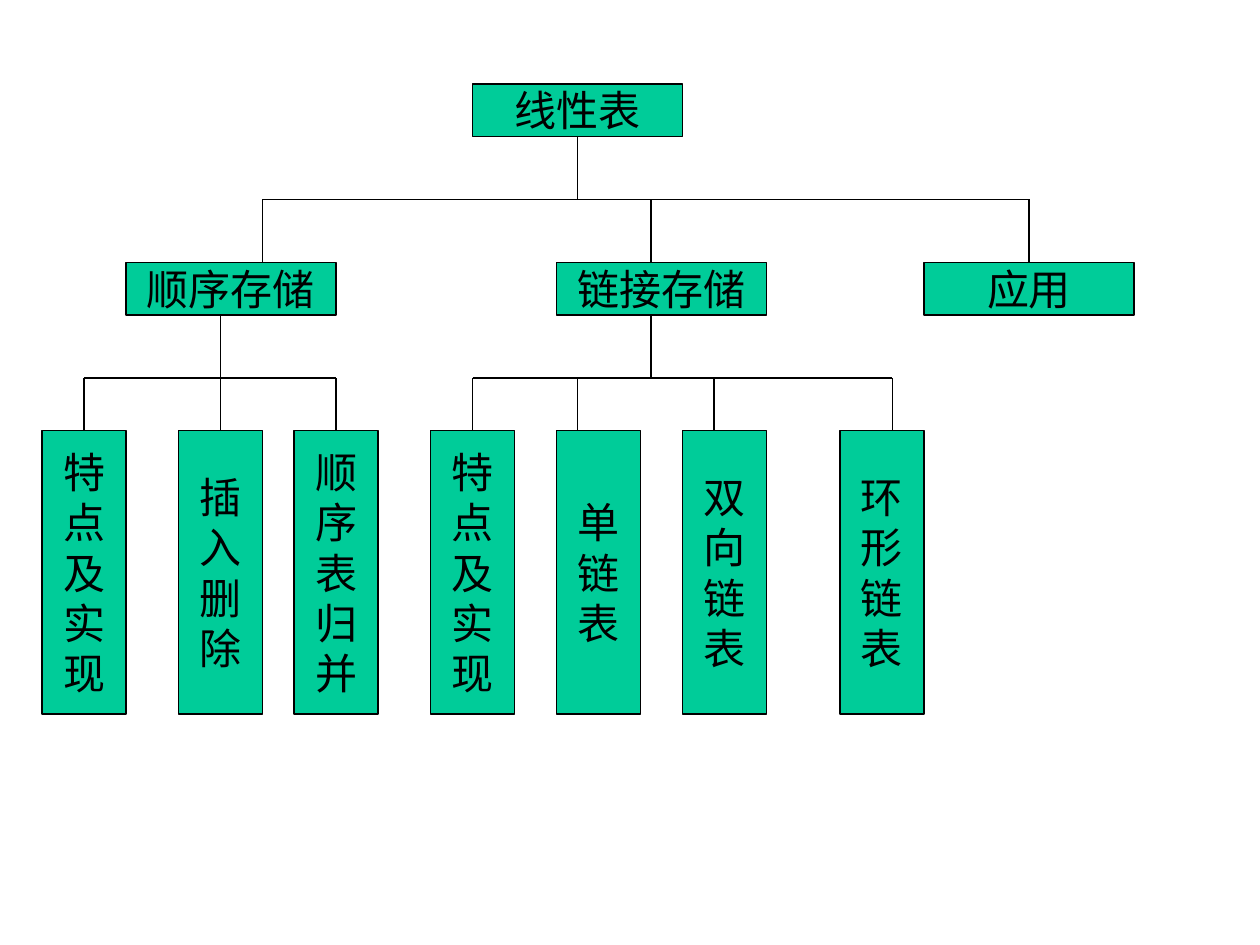
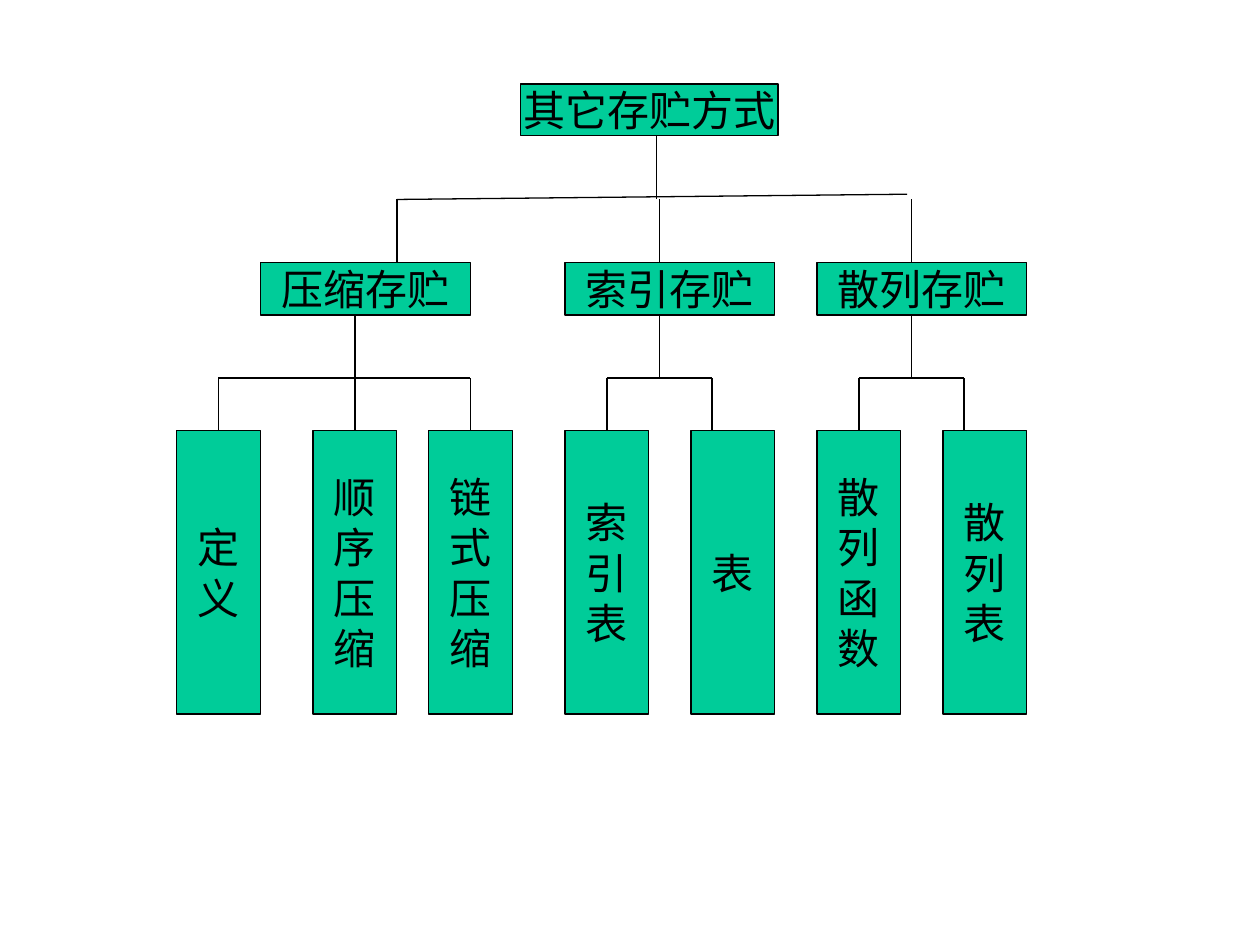
from dataclasses import dataclass

from lxml import etree
from pptx import Presentation
from pptx import util as u
from pptx.dml.color import RGBColor
from pptx.enum import shapes, text
from pptx.oxml.ns import qn

GREEN = RGBColor(0x00, 0xCC, 0x99)
BLACK = RGBColor(0x00, 0x00, 0x00)
FONT = "Times New Roman"

# The grid has 120 columns and 90 rows, twelve to the inch.
COLUMNS, ROWS = 120, 90
ROOT_TOP, ROOT_BAR = 8, 19
BRANCH_TOP, LEAF_BAR, LEAF_TOP = 25, 36, 41
BOX_WIDTH, BOX_HEIGHT = 20, 5
LEAF_WIDTH, LEAF_HEIGHT = 8, 27


@dataclass
class Root:
    label: str
    left: float
    stem: float
    width: float = BOX_WIDTH
    height: float = BOX_HEIGHT


@dataclass
class Branch:
    """A second-level box; leaves are (label, left, column of its line)."""
    label: str
    left: float
    drop: float
    stem: float = 0
    leaves: tuple = ()
    leaf_line_end: float = LEAF_TOP


class TreeDeck:
    def __init__(self):
        self.deck = Presentation()
        self.deck.slide_width = u.Inches(10)
        self.deck.slide_height = u.Inches(7.5)
        self.slide = None
        self.shift = 0

    def x(self, column):
        return round((column + self.shift) * self.deck.slide_width / COLUMNS)

    def y(self, row):
        return round(row * self.deck.slide_height / ROWS)

    def new_slide(self, shift):
        """Start a slide whose grid is moved right by shift columns."""
        self.slide = self.deck.slides.add_slide(self.deck.slide_layouts[6])
        self.shift = shift

    def box(self, lines, left, top, width, height):
        x, y = self.x(left), self.y(top)
        node = self.slide.shapes.add_shape(
            shapes.MSO_SHAPE.RECTANGLE, x, y,
            self.x(left + width) - x, self.y(top + height) - y)
        node.shadow.inherit = False
        node.fill.solid()
        node.fill.fore_color.rgb = GREEN
        node.line.color.rgb = BLACK
        node.line.width = u.Pt(0.75)
        frame = node.text_frame
        frame.word_wrap = False
        frame.vertical_anchor = text.MSO_ANCHOR.MIDDLE
        for index, words in enumerate(lines):
            paragraph = frame.add_paragraph() if index else frame.paragraphs[0]
            paragraph.alignment = text.PP_ALIGN.CENTER
            run = paragraph.add_run()
            run.text = words
            run.font.name = FONT
            run.font.size = u.Pt(24)
            run.font.color.rgb = BLACK

    def line(self, x1, y1, x2, y2):
        link = self.slide.shapes.add_connector(
            shapes.MSO_CONNECTOR.STRAIGHT,
            self.x(x1), self.y(y1), self.x(x2), self.y(y2))
        link.line.color.rgb = BLACK
        link.line.width = u.Pt(0.75)
        etree.SubElement(link._element.spPr, qn("a:effectLst"))

    def fork(self, stem, top, bar, drops, bottom, bar_end=None):
        """Join a parent's stem to its children; bar_end overrides the bar's right end."""
        self.line(stem, top, stem, bar)
        self.line(drops[0], bar, *(bar_end or (drops[-1], bar)))
        for drop in drops:
            self.line(drop, bar, drop, bottom)

    def tree(self, root, branches, shift=0, bar_end=None):
        self.new_slide(shift)
        self.box([root.label], root.left, ROOT_TOP, root.width, root.height)
        self.fork(root.stem, ROOT_TOP + BOX_HEIGHT, ROOT_BAR,
                  [branch.drop for branch in branches], BRANCH_TOP, bar_end)
        for branch in branches:
            self.box([branch.label], branch.left, BRANCH_TOP, BOX_WIDTH, BOX_HEIGHT)
            if branch.leaves:
                self.fork(branch.stem, BRANCH_TOP + BOX_HEIGHT, LEAF_BAR,
                          [drop for _, _, drop in branch.leaves], branch.leaf_line_end)
            for label, left, _ in branch.leaves:
                self.box(label, left, LEAF_TOP, LEAF_WIDTH, LEAF_HEIGHT)


def main():
    trees = TreeDeck()
    trees.tree(Root("线性表", 45, 55), [
        Branch("顺序存储", 12, 25, 21,
               (("特点及实现", 4, 8), ("插入删除", 17, 21), ("顺序表归并", 28, 32)), 42),
        Branch("链接存储", 53, 62, 62,
               (("特点及实现", 41, 45), ("单链表", 53, 55),
                ("双向链表", 65, 68), ("环形链表", 80, 85))),
        Branch("应用", 88, 98),
    ])
    trees.tree(Root("其它存贮方式", 49.8, 62.7, 24.5, 4.9), [
        Branch("压缩存贮", 25, 38, 34,
               (("定义", 17, 21), ("顺序压缩", 30, 34), ("链式压缩", 41, 45)), 42),
        Branch("索引存贮", 54, 63, 63, (("索引表", 54, 58), ("表", 66, 68))),
        Branch("散列存贮", 78, 87, 87, (("散列函数", 78, 82), ("散列表", 90, 92))),
    ], shift=-0.2, bar_end=(86.6, 18.5))
    trees.deck.save("out.pptx")


if __name__ == "__main__":
    main()
